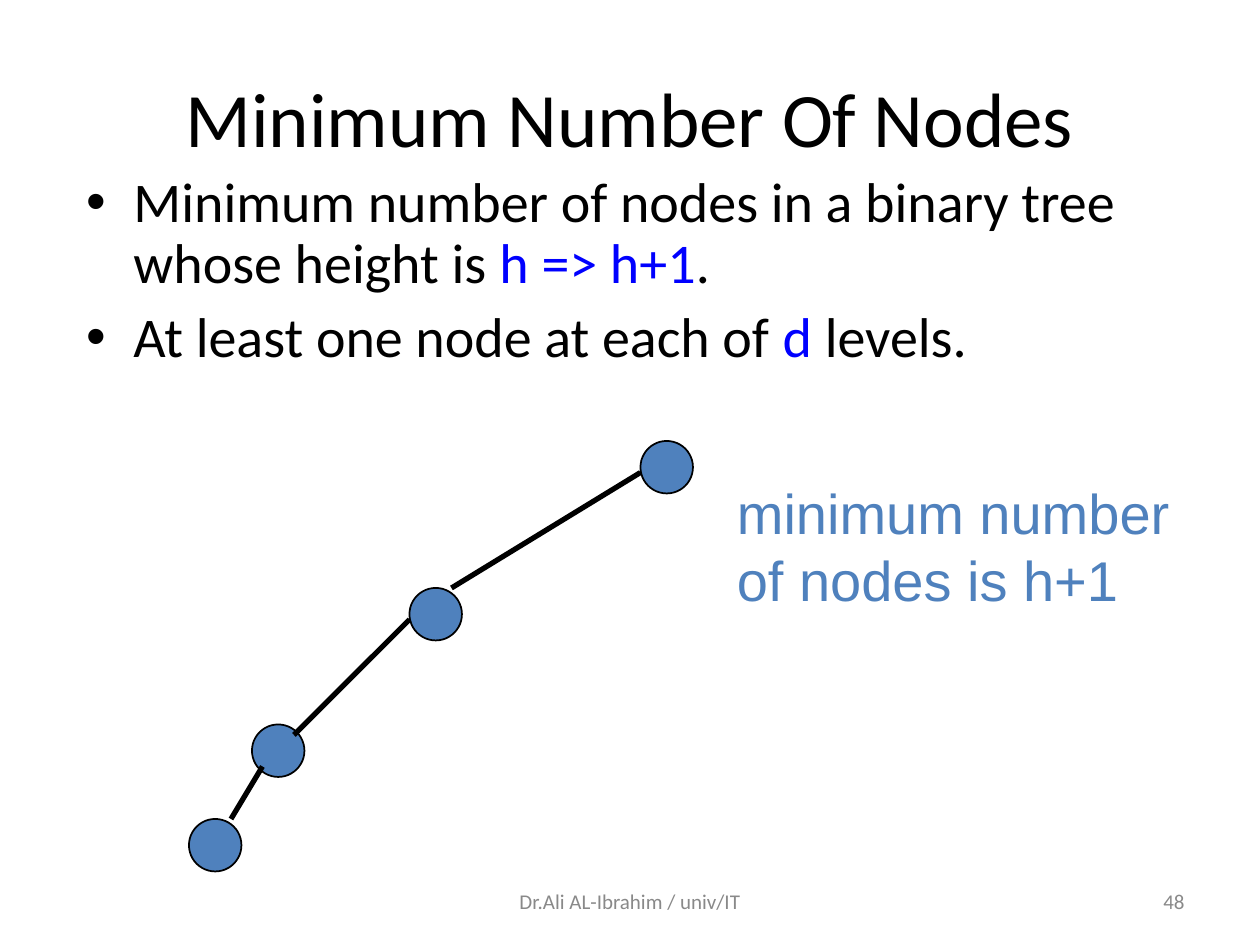
from itertools import pairwise

from lxml import etree
from pptx import Presentation
from pptx import util as u
from pptx.dml.color import RGBColor
from pptx.enum import shapes, text
from pptx.oxml.ns import qn

PX = 7620  # 120 px to the inch
BLACK, BLUE, STEEL, GREY = "000000", "0000FF", "4F81BD", "898989"


def px(*nums):
    return [u.Emu(n * PX) for n in nums]


def color(code):
    return RGBColor.from_string(code)


def place(shape, box):
    shape.left, shape.top, shape.width, shape.height = px(*box)


def write(para, words, size=32, font="Calibri", hue=BLACK, align=None, before=None):
    run = para.add_run()
    run.text = words
    run.font.size = u.Pt(size)
    run.font.name = font
    run.font.color.rgb = color(hue)
    if align is not None:
        para.alignment = align
    if before is not None:
        para.space_before = u.Pt(before)


def label(slide, box, words, anchor=text.MSO_ANCHOR.TOP, **style):
    frame = slide.shapes.add_textbox(*px(*box)).text_frame
    frame.word_wrap = True
    frame.vertical_anchor = anchor
    write(frame.paragraphs[0], words, **style)


def title(slide, box):
    head = slide.shapes.title
    place(head, box)
    head.text_frame.vertical_anchor = text.MSO_ANCHOR.MIDDLE
    write(head.text_frame.paragraphs[0], "Minimum Number Of Nodes",
          size=44, align=text.PP_ALIGN.CENTER)


def points(slide, box):
    """Fill the bullet list; every second piece of an item is blue."""
    items = [
        ("Minimum number of nodes in a binary tree whose height is ", "h => h+1", "."),
        ("At least one node at each of ", "d", " levels."),
    ]
    body = slide.placeholders[1]
    place(body, box)
    frame = body.text_frame
    frame.auto_size = text.MSO_AUTO_SIZE.NONE
    for i, parts in enumerate(items):
        para = frame.add_paragraph() if i else frame.paragraphs[0]
        para.line_spacing = 0.9
        for j, part in enumerate(parts):
            write(para, part, hue=BLUE if j % 2 else BLACK, before=8)


def node(group, x, y, size):
    dot = group.shapes.add_shape(shapes.MSO_SHAPE.OVAL, *px(x, y, size, size))
    dot.shadow.inherit = False
    dot.fill.solid()
    dot.fill.fore_color.rgb = color(STEEL)
    dot.line.color.rgb = color(BLACK)
    dot.line.width = u.Pt(1)


def edge(group, start, end):
    line = group.shapes.add_connector(shapes.MSO_CONNECTOR.STRAIGHT, *px(*start, *end))
    line.line.color.rgb = color(BLACK)
    line.line.width = u.Pt(3)
    etree.SubElement(line._element.spPr, qn("a:effectLst"))


def tree(slide, left, top):
    """Draw a chain of left children, from the root down."""
    size = 50
    nodes = [(430, 0), (210, 140), (60, 270), (0, 360)]
    # Edge ends, relative to the upper and the lower node
    ends = [((0, 30), (40, 0)), ((0, 30), (40, 10)), ((10, 40), (40, 0))]
    nodes = [(left + x, top + y) for x, y in nodes]
    group = slide.shapes.add_group_shape()
    for x, y in nodes:
        node(group, x, y, size)
    for (high, low), (out, into) in zip(pairwise(nodes), ends):
        edge(group, (high[0] + out[0], high[1] + out[1]),
             (low[0] + into[0], low[1] + into[1]))


def footer(slide, top, height):
    style = dict(anchor=text.MSO_ANCHOR.MIDDLE, size=12, hue=GREY)
    label(slide, (860, top, 280, height), "48", align=text.PP_ALIGN.RIGHT, **style)
    label(slide, (410, top, 380, height), "Dr.Ali AL-Ibrahim / univ/IT",
          align=text.PP_ALIGN.CENTER, **style)


def main():
    deck = Presentation()
    deck.slide_width, deck.slide_height = px(1200, 900)
    slide = deck.slides.add_slide(deck.slide_layouts[1])
    title(slide, (60, 36, 1080, 150))
    points(slide, (70, 160, 1030, 210))
    tree(slide, 180, 420)
    label(slide, (690, 450, 470, 140), "minimum number of nodes is h+1",
          font="Arial", hue=STEEL, before=20)
    footer(slide, 834, 48)
    deck.save("out.pptx")


if __name__ == "__main__":
    main()
